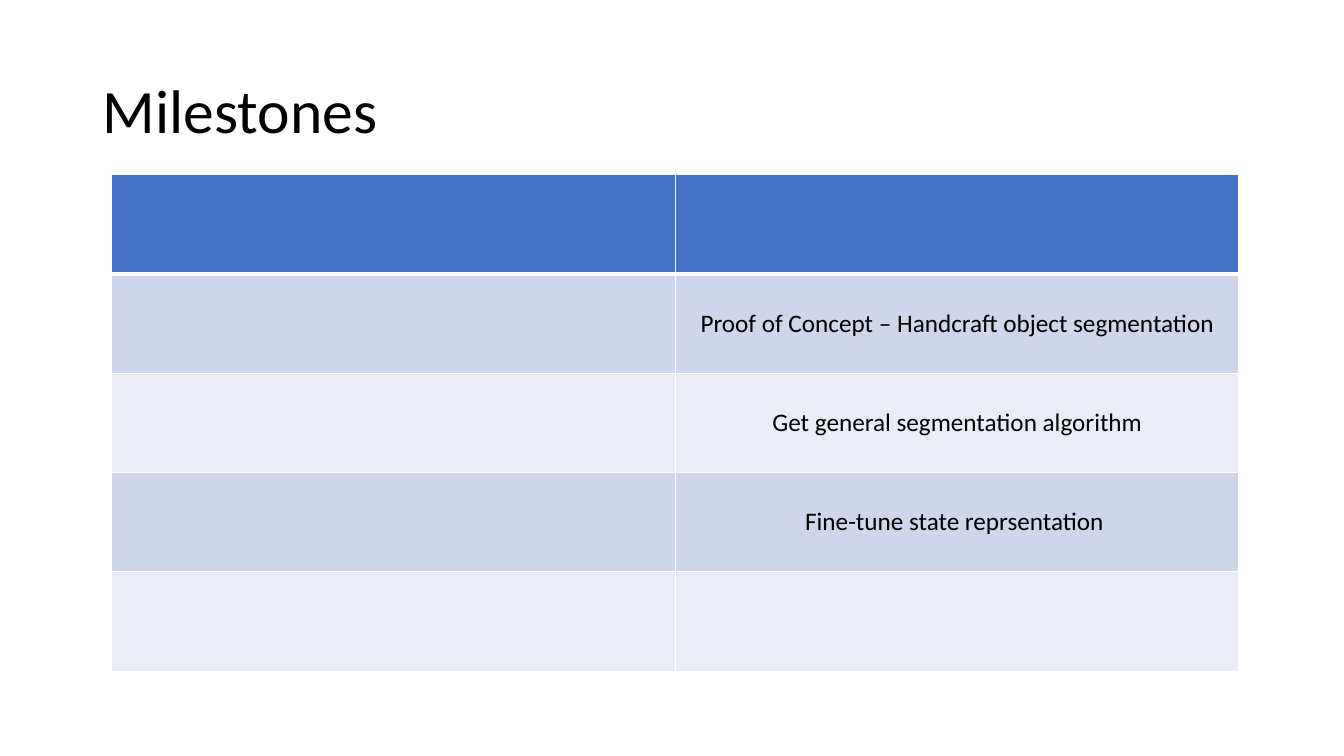
import pptx
import pptx.dml.color
import pptx.enum.text
import pptx.oxml
import pptx.oxml.ns
import pptx.util
from pptx.util import Inches

COLORS = {
    "header": "4472C4",
    "odd": "CFD5EA",
    "even": "E9EBF5",
    "border": "FFFFFF",
    "text": "000000",
}
FONT = "Calibri"
MILESTONES = [
    ("", ""),
    ("", "Proof of Concept – Handcraft object segmentation"),
    ("", "Get general segmentation algorithm"),
    ("", "Fine-tune state reprsentation "),
    ("", ""),
]


def rgb(name):
    return pptx.dml.color.RGBColor.from_string(COLORS[name])


def format_paragraph(paragraph, size, **paragraph_format):
    for attribute, value in paragraph_format.items():
        setattr(paragraph, attribute, value)
    font_format = {"name": FONT, "size": pptx.util.Pt(size), "bold": False}
    for attribute, value in font_format.items():
        setattr(paragraph.font, attribute, value)
    paragraph.font.color.rgb = rgb("text")


def add_borders(cell, widths):
    """Add solid borders; widths maps the sides L, R, T and B to points."""
    properties = cell._tc.get_or_add_tcPr()
    for side, width in widths.items():
        properties.append(pptx.oxml.parse_xml(
            f'<a:ln{side} {pptx.oxml.ns.nsdecls("a")} w="{pptx.util.Pt(width)}">'
            f'<a:solidFill><a:srgbClr val="{COLORS["border"]}"/></a:solidFill>'
            f'</a:ln{side}>'))


def fill_title(title, text, left, top, width, height):
    box = {"left": left, "top": top, "width": width, "height": height}
    for attribute, value in box.items():
        setattr(title, attribute, Inches(value))
    title.text_frame.text = text
    title.text_frame.auto_size = pptx.enum.text.MSO_AUTO_SIZE.NONE
    title.text_frame.vertical_anchor = pptx.enum.text.MSO_ANCHOR.MIDDLE
    format_paragraph(title.text_frame.paragraphs[0], 44, line_spacing=0.9,
                     alignment=pptx.enum.text.PP_ALIGN.LEFT)


def add_milestone_table(slide, left, top, width, height):
    table = slide.shapes.add_table(
        len(MILESTONES), len(MILESTONES[0]),
        Inches(left), Inches(top), Inches(width), Inches(height)).table
    for row, entries in enumerate(MILESTONES):
        band = "header" if row == 0 else "odd" if row % 2 else "even"
        widths = {"L": 1, "R": 1, "T": 3 if row == 1 else 1, "B": 3 if row == 0 else 1}
        for column, entry in enumerate(entries):
            cell = table.cell(row, column)
            add_borders(cell, widths)
            cell.fill.solid()
            cell.fill.fore_color.rgb = rgb(band)
            if entry:
                cell.text = entry
                cell.vertical_anchor = pptx.enum.text.MSO_ANCHOR.MIDDLE
                format_paragraph(cell.text_frame.paragraphs[0], 18,
                                 alignment=pptx.enum.text.PP_ALIGN.CENTER)


def main():
    presentation = pptx.Presentation()
    presentation.slide_width = Inches(13.33)
    presentation.slide_height = Inches(7.5)
    slide = presentation.slides.add_slide(presentation.slide_layouts[5])
    fill_title(slide.shapes.title, "Milestones", 0.92, 0.4, 11.5, 1.45)
    add_milestone_table(slide, 1.11, 1.73, 11.18, 4.93)
    presentation.save("out.pptx")


if __name__ == "__main__":
    main()
